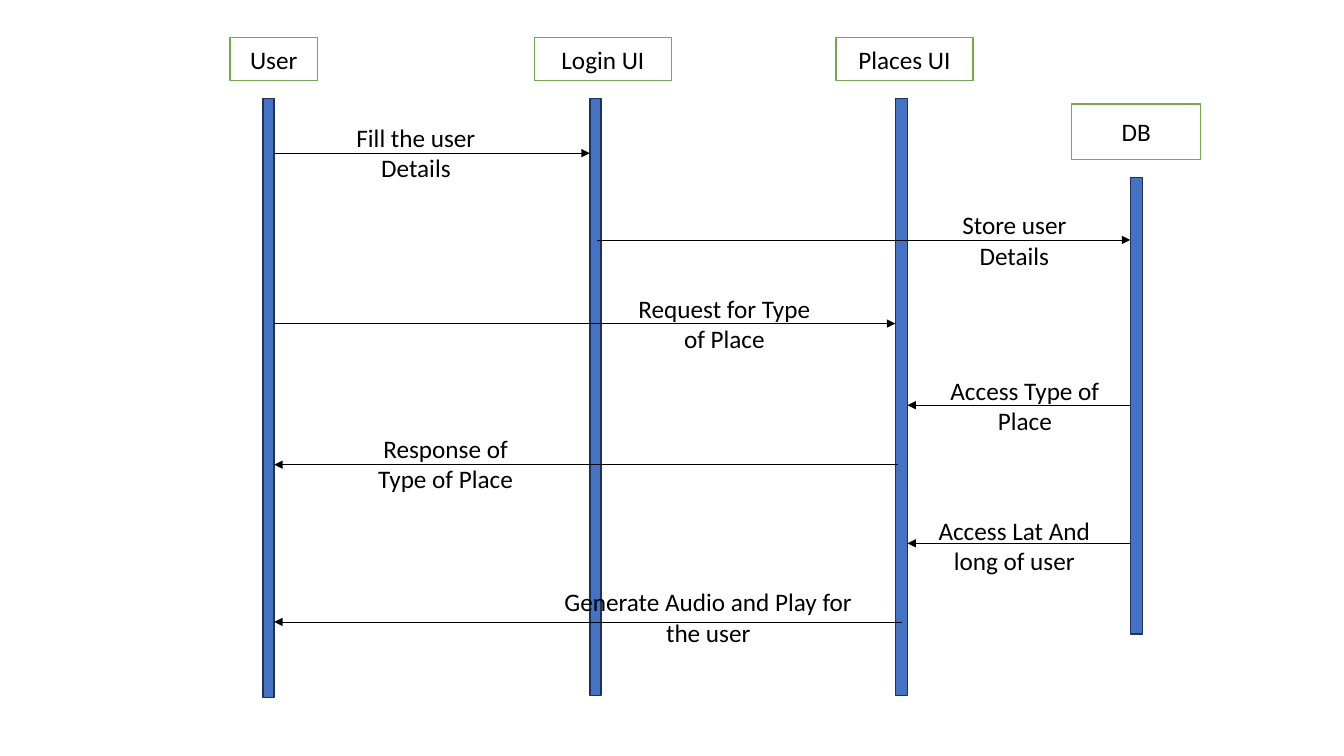
from dataclasses import dataclass

from pptx import Presentation
from pptx.dml.color import RGBColor
from pptx.enum.shapes import MSO_CONNECTOR, MSO_SHAPE
from pptx.enum.text import MSO_ANCHOR, MSO_AUTO_SIZE, PP_ALIGN
from pptx.oxml.ns import qn
from pptx.util import Pt
from lxml.etree import SubElement

PX = 9144  # EMU per px, 100 px to the inch
SLIDE_SIZE = (1333, 750)

# name: (header box, lifeline bar), each as left, top, width, height
PARTICIPANTS = {
    "User": ((228, 37, 87, 43), (261, 98, 11, 594)),
    "Login UI": ((530, 37, 136, 43), (585, 98, 11, 592)),
    "Places UI": ((829, 37, 136, 43), (888, 98, 12, 592)),
    "DB": ((1063, 103, 128, 55), (1121, 176, 12, 453)),
}

# sender, receiver, arrow y, start inset into the sender's bar, label, label left, top, width
MESSAGES = [
    ("User", "Login UI", 152, 0, "Fill the user Details", 324, 116, 177),
    ("Login UI", "DB", 238, 4, "Store user Details", 935, 203, 142),
    ("User", "Places UI", 321, 0, "Request for Type of Place", 620, 286, 197),
    ("DB", "Places UI", 402, 0, "Access Type of Place", 918, 367, 197),
    ("Places UI", "User", 461, 3, "Response of Type of Place", 354, 425, 176),
    ("DB", "Places UI", 539, 0, "Access Lat And long of user", 916, 506, 180),
    ("Places UI", "User", 617, 7, "Generate Audio and Play for the user", 536, 577, 333),
]
LABEL_HEIGHT = 71


@dataclass(frozen=True)
class Theme:
    font: str = "Calibri"
    text_size: float = 18
    text: str = "000000"
    header_fill: str = "FFFFFF"
    header_line: str = "70AD47"
    bar_fill: str = "4472C4"
    bar_line: str = "1E3256"
    arrow: str = "000000"
    outline_width: float = 1
    arrow_width: float = 0.5


THEME = Theme()


def emu(*lengths):
    return [length * PX for length in lengths]


def set_line(line, color, width):
    line.color.rgb = RGBColor.from_string(color)
    line.width = Pt(width)


def write_text(shape, text, **frame_format):
    frame = shape.text_frame
    for name, value in {"word_wrap": True, **frame_format}.items():
        setattr(frame, name, value)
    paragraph = frame.paragraphs[0]
    paragraph.alignment = PP_ALIGN.CENTER
    run = paragraph.add_run()
    run.text = text
    for name, value in {"name": THEME.font, "size": Pt(THEME.text_size)}.items():
        setattr(run.font, name, value)
    run.font.color.rgb = RGBColor.from_string(THEME.text)


def add_box(slide, place, fill, line):
    box = slide.shapes.add_shape(MSO_SHAPE.RECTANGLE, *emu(*place))
    box.shadow.inherit = False
    box.fill.solid()
    box.fill.fore_color.rgb = RGBColor.from_string(fill)
    set_line(box.line, line, THEME.outline_width)
    return box


def arrow_ends(sender, receiver, inset):
    """Return the x of both ends, on the facing edges of the two bars."""
    (start, _, start_width, _), (end, _, end_width, _) = (
        PARTICIPANTS[name][1] for name in (sender, receiver))
    if start < end:
        return start + start_width - inset, end
    return start + inset, end + end_width


def add_arrow(slide, start_x, end_x, y):
    arrow = slide.shapes.add_connector(
        MSO_CONNECTOR.STRAIGHT, *emu(start_x, y, end_x, y))
    set_line(arrow.line, THEME.arrow, THEME.arrow_width)
    properties = arrow._element.spPr
    SubElement(properties.find(qn("a:ln")), qn("a:tailEnd"), type="triangle")
    SubElement(properties, qn("a:effectLst"))


def main():
    presentation = Presentation()
    presentation.slide_width, presentation.slide_height = emu(*SLIDE_SIZE)
    slide = presentation.slides.add_slide(
        presentation.slide_layouts.get_by_name("Blank"))

    for name, (header_place, bar_place) in PARTICIPANTS.items():
        header = add_box(slide, header_place, THEME.header_fill, THEME.header_line)
        write_text(header, name, vertical_anchor=MSO_ANCHOR.MIDDLE)
        add_box(slide, bar_place, THEME.bar_fill, THEME.bar_line)

    for sender, receiver, y, inset, text, left, top, width in MESSAGES:
        add_arrow(slide, *arrow_ends(sender, receiver, inset), y)
        label = slide.shapes.add_textbox(*emu(left, top, width, LABEL_HEIGHT))
        write_text(label, text, auto_size=MSO_AUTO_SIZE.SHAPE_TO_FIT_TEXT)

    presentation.save("out.pptx")


if __name__ == "__main__":
    main()
